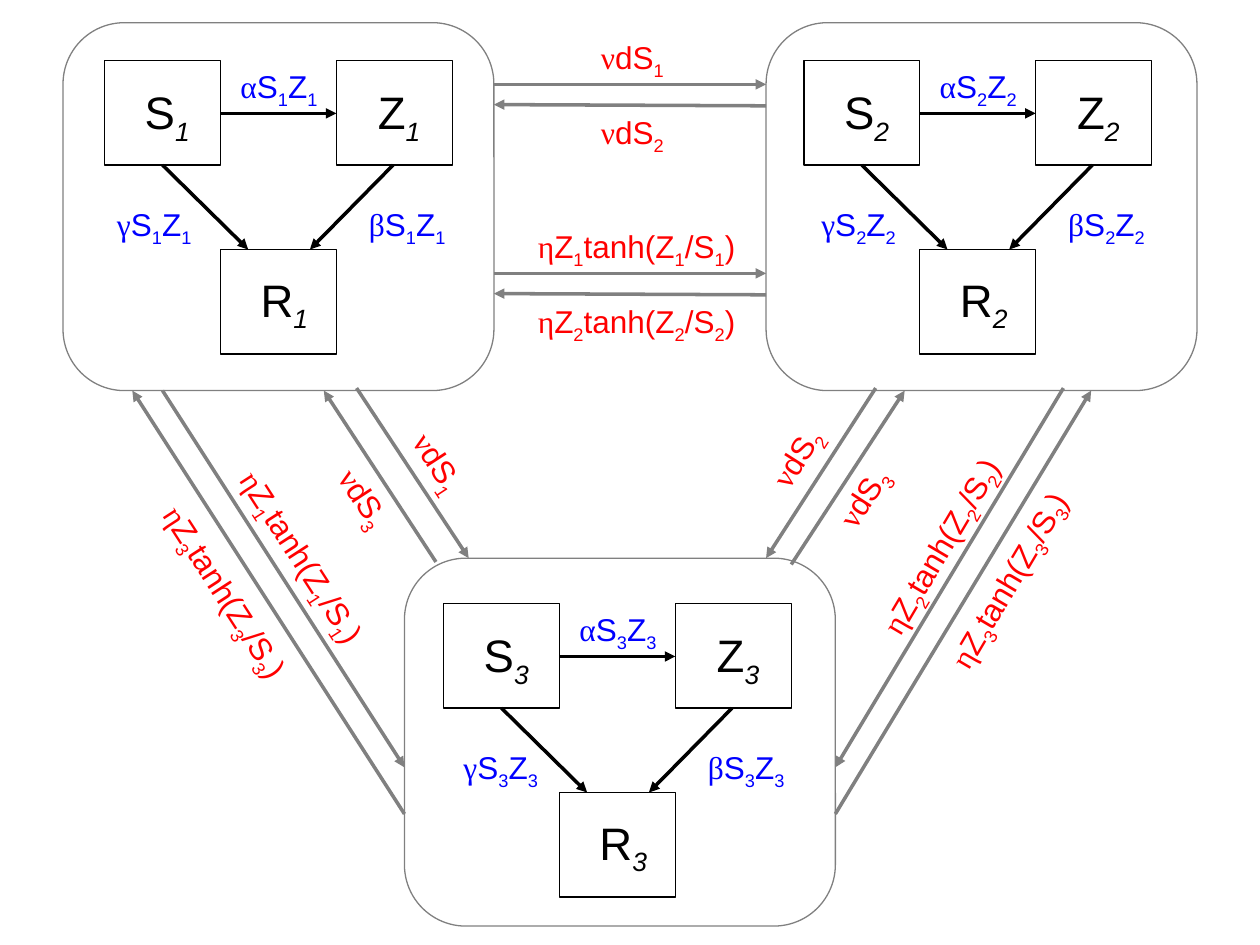
from typing import NamedTuple

from lxml import etree
from pptx import Presentation
from pptx.dml.color import RGBColor
from pptx.enum.shapes import MSO_CONNECTOR, MSO_SHAPE
from pptx.enum.text import MSO_AUTO_SIZE
from pptx.oxml.ns import qn
from pptx.util import Inches, Pt

STRAIGHT = MSO_CONNECTOR.STRAIGHT
RECTANGLE = MSO_SHAPE.RECTANGLE
ROUNDED = MSO_SHAPE.ROUNDED_RECTANGLE
FIT_SHAPE = MSO_AUTO_SIZE.SHAPE_TO_FIT_TEXT

COLORS = {"state": "000000", "rate": "0000FF", "flow": "FF0000", "link": "808080"}
LATIN_FONT, GREEK_FONT = "Arial", "Times New Roman"
BOX_WIDTH, BOX_HEIGHT = 0.92, 0.83
PATCH_WIDTH, PATCH_HEIGHT = 3.42, 2.92


class Patch(NamedTuple):
    number: int
    left: float
    top: float
    states_left: float
    states_top: float
    gamma_left: float


class State(NamedTuple):
    name: str
    dx: float
    dy: float
    text_dx: float
    text_dy: float
    text_width: float


class Arrow(NamedTuple):
    x1: float
    y1: float
    x2: float
    y2: float


class Flow(NamedTuple):
    kind: str
    number: int
    left: float
    top: float
    rotation: float
    arrow: Arrow


PATCHES = [
    Patch(1, 0.5, 0.18, 0.83, 0.48, 0.83),
    Patch(2, 6.08, 0.18, 6.38, 0.48, 6.42),
    Patch(3, 3.21, 4.43, 3.52, 4.79, 3.58),
]

# Offsets from the corner of each patch's S box
STATES = [
    State("S", 0, 0, 0.22, 0.14, 0.62),
    State("Z", 1.84, 0, 0.23, 0.14, 0.6),
    State("R", 0.92, 1.5, 0.22, 0.13, 0.64),
]
TRANSITIONS = [
    Arrow(0.92, 0.42, 1.84, 0.42),
    Arrow(0.46, 0.83, 1.14, 1.5),
    Arrow(2.29, 0.83, 1.63, 1.5),
]

# Text pattern and label width of each kind of flow
FLOW_KINDS = {
    "move": ("νdS_{n}", 0.72),
    "chase": ("ηZ_{n}tanh(Z_{n}/S_{n})", 1.84),
}
FLOWS = [
    # Between patches 1 and 2
    Flow("move", 1, 4.67, 0.25, 0, Arrow(3.92, 0.67, 6.08, 0.67)),
    Flow("move", 2, 4.67, 0.85, 0, Arrow(6.08, 0.84, 3.92, 0.83)),
    Flow("chase", 1, 4.17, 1.75, 0, Arrow(3.92, 2.17, 6.08, 2.17)),
    Flow("chase", 2, 4.17, 2.35, 0, Arrow(6.08, 2.34, 3.92, 2.33)),
    # Between patches 2 and 3
    Flow("move", 2, 5.96, 3.42, 302.3, Arrow(6.95, 3.08, 6.08, 4.43)),
    Flow("move", 3, 6.49, 3.74, 303, Arrow(6.28, 4.48, 7.18, 3.1)),
    Flow("chase", 2, 6.56, 4.1, 300.6, Arrow(8.44, 3.08, 6.63, 6.09)),
    Flow("chase", 3, 7.1, 4.37, 300.5, Arrow(6.63, 6.46, 8.66, 3.1)),
    # Between patches 1 and 3
    Flow("move", 1, 3.13, 3.48, 56.9, Arrow(2.83, 3.08, 3.72, 4.43)),
    Flow("move", 3, 2.54, 3.76, 56.9, Arrow(3.46, 4.46, 2.57, 3.1)),
    Flow("chase", 3, 0.89, 4.53, 57.2, Arrow(3.21, 6.46, 1.05, 3.1)),
    Flow("chase", 1, 1.5, 4.25, 57.2, Arrow(1.29, 3.1, 3.21, 6.09)),
]


def rgb(name: str) -> RGBColor:
    return RGBColor.from_string(COLORS[name])


def add_outline(page, preset, left: float, top: float, width: float, height: float,
                color: str) -> None:
    box = page.shapes.add_shape(preset, Inches(left), Inches(top), Inches(width), Inches(height))
    box.shadow.inherit = False
    box.fill.background()
    box.line.color.rgb = rgb(color)
    box.line.width = Pt(0.75)


def add_arrow(page, arrow: Arrow, color: str, dx: float = 0, dy: float = 0) -> None:
    line = page.shapes.add_connector(
        STRAIGHT, Inches(arrow.x1 + dx), Inches(arrow.y1 + dy),
        Inches(arrow.x2 + dx), Inches(arrow.y2 + dy))
    line.line.color.rgb = rgb(color)
    line.line.width = Pt(2)
    etree.SubElement(line.line._get_or_add_ln(), qn("a:tailEnd"), type="triangle")
    etree.SubElement(line._element.spPr, qn("a:effectLst"))


def add_span(para, text: str, subscript: bool = False, italic: bool = False) -> None:
    span = para.add_run()
    span.text = text
    if subscript:
        span._r.get_or_add_rPr().set("baseline", "-25000")
    if italic:
        span.font.italic = True


def add_formula(page, formula: str, left: float, top: float, width: float, height: float,
                color: str, size: int = 18, italic_index: bool = False,
                rotation: float = 0) -> None:
    """Write a formula in which each underscore lowers the next digit."""
    box = page.shapes.add_textbox(Inches(left), Inches(top), Inches(width), Inches(height))
    box.rotation = rotation
    frame = box.text_frame
    frame.word_wrap = False
    frame.auto_size = FIT_SHAPE
    para = frame.paragraphs[0]
    para.font.name = LATIN_FONT
    para.font.size = Pt(size)
    para.font.color.rgb = rgb(color)
    start, *rest = formula.split("_")
    if not start.isascii():
        add_span(para, start[0])
        para.runs[0].font.name = GREEK_FONT
        start = start[1:]
    add_span(para, start)
    for part in rest:
        add_span(para, part[0], subscript=True, italic=italic_index)
        if part[1:]:
            add_span(para, part[1:])


def add_patch(page, patch: Patch) -> None:
    x, y, n = patch.states_left, patch.states_top, patch.number
    for state in STATES:
        left, top = x + state.dx, y + state.dy
        add_outline(page, RECTANGLE, left, top, BOX_WIDTH, BOX_HEIGHT, "state")
        add_formula(page, f"{state.name}_{n}", left + state.text_dx, top + state.text_dy,
                    state.text_width, 0.54, "state", size=26, italic_index=True)
    for transition in TRANSITIONS:
        add_arrow(page, transition, "state", x, y)
    rates = [("α", x + 0.98, y), ("β", x + 2, y + 1.1), ("γ", patch.gamma_left, y + 1.1)]
    for letter, left, top in rates:
        add_formula(page, f"{letter}S_{n}Z_{n}", left, top, 0.84, 0.4, "rate")
    add_outline(page, ROUNDED, patch.left, patch.top, PATCH_WIDTH, PATCH_HEIGHT, "link")


def add_flow(page, flow: Flow) -> None:
    pattern, width = FLOW_KINDS[flow.kind]
    add_arrow(page, flow.arrow, "link")
    add_formula(page, pattern.format(n=flow.number), flow.left, flow.top, width, 0.4,
                "flow", rotation=flow.rotation)


deck = Presentation()
deck.slide_width, deck.slide_height = Inches(10), Inches(7.5)
page = deck.slides.add_slide(deck.slide_layouts[6])

# Patches with their inner states
for patch in PATCHES:
    add_patch(page, patch)

# Flows between patches
for flow in FLOWS:
    add_flow(page, flow)

deck.save("out.pptx")
